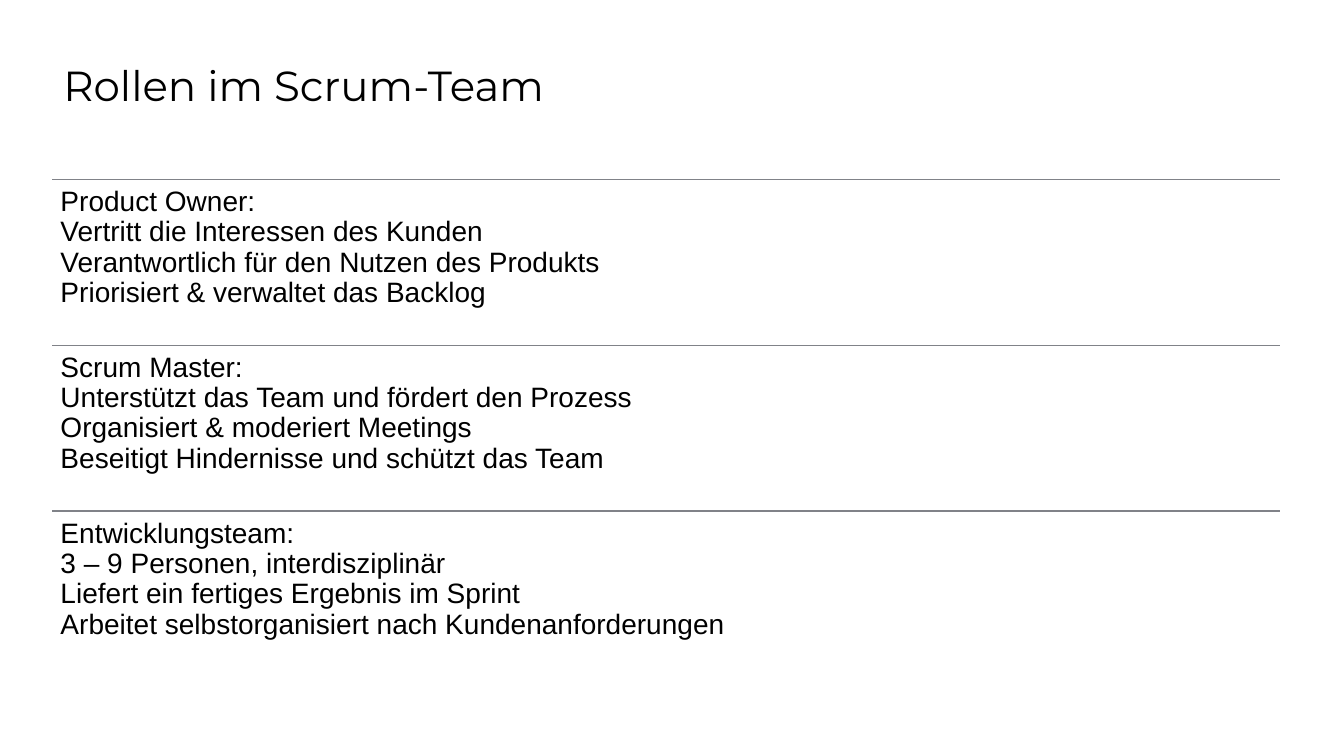
"""Build a slide that lists the roles in a Scrum team."""
from dataclasses import dataclass

from lxml import etree
from pptx import Presentation
from pptx import util as u
from pptx.dml.color import RGBColor
from pptx.enum import shapes, text
from pptx.oxml import ns
from pptx.slide import Slide

BLACK = RGBColor(0x00, 0x00, 0x00)
GRAY = RGBColor(0x80, 0x82, 0x88)

LEFT, WIDTH = 0.52, 12.18
ROWS_TOP, ROW_HEIGHT = 1.78, 1.645


@dataclass
class Role:
    name: str
    duties: list[str]


@dataclass
class TextStyle:
    font: str
    size: int
    line_spacing: float
    inset_x: float
    inset_y: float


TITLE = TextStyle("Montserrat", 30, 0.83, 0.1, 0.05)
BODY = TextStyle("Arial", 20, 0.9, 0.08, 0.08)

ROLES = [
    Role("Product Owner:", [
        "Vertritt die Interessen des Kunden",
        "Verantwortlich für den Nutzen des Produkts",
        "Priorisiert & verwaltet das Backlog",
    ]),
    Role("Scrum Master:", [
        "Unterstützt das Team und fördert den Prozess",
        "Organisiert & moderiert Meetings",
        "Beseitigt Hindernisse und schützt das Team",
    ]),
    Role("Entwicklungsteam:", [
        "3 – 9 Personen, interdisziplinär",
        "Liefert ein fertiges Ergebnis im Sprint",
        "Arbeitet selbstorganisiert nach Kundenanforderungen",
    ]),
]


def add_text(s: Slide, content: str, left: float, top: float,
             width: float, height: float, style: TextStyle) -> None:
    """Add one wrapped paragraph, with line breaks at each newline."""
    sp = s.shapes.add_textbox(u.Inches(left), u.Inches(top),
                              u.Inches(width), u.Inches(height))
    tf = sp.text_frame
    tf.word_wrap = True
    tf.vertical_anchor = text.MSO_ANCHOR.TOP
    tf.margin_left = tf.margin_right = u.Inches(style.inset_x)
    tf.margin_top = tf.margin_bottom = u.Inches(style.inset_y)
    p = tf.paragraphs[0]
    p.text = content
    p.line_spacing = style.line_spacing
    for r in p.runs:
        r.font.name = style.font
        r.font.size = u.Pt(style.size)
        r.font.color.rgb = BLACK


def add_rule(s: Slide, top: float) -> None:
    """Add a thin horizontal line across the content width."""
    sp = s.shapes.add_connector(shapes.MSO_CONNECTOR.STRAIGHT,
                                u.Inches(LEFT), u.Inches(top),
                                u.Inches(LEFT + WIDTH), u.Inches(top))
    sp.line.color.rgb = GRAY
    sp.line.width = u.Pt(1)
    etree.SubElement(sp._element.spPr, ns.qn("a:effectLst"))


def add_role(s: Slide, role: Role, top: float) -> None:
    """Add a role with its rule above."""
    add_rule(s, top)
    content = "\n".join([role.name, *role.duties])
    add_text(s, content, LEFT, top, WIDTH, ROW_HEIGHT, BODY)


def main() -> None:
    """Create and save the presentation."""
    prs = Presentation()
    prs.slide_width, prs.slide_height = u.Inches(13.33), u.Inches(7.5)
    s = prs.slides.add_slide(prs.slide_layouts[6])
    add_text(s, "Rollen im Scrum-Team", 0.53, 0.63, 12.17, 1.08, TITLE)
    for i, role in enumerate(ROLES):
        add_role(s, role, ROWS_TOP + i * ROW_HEIGHT)
    prs.save("out.pptx")


if __name__ == "__main__":
    main()
